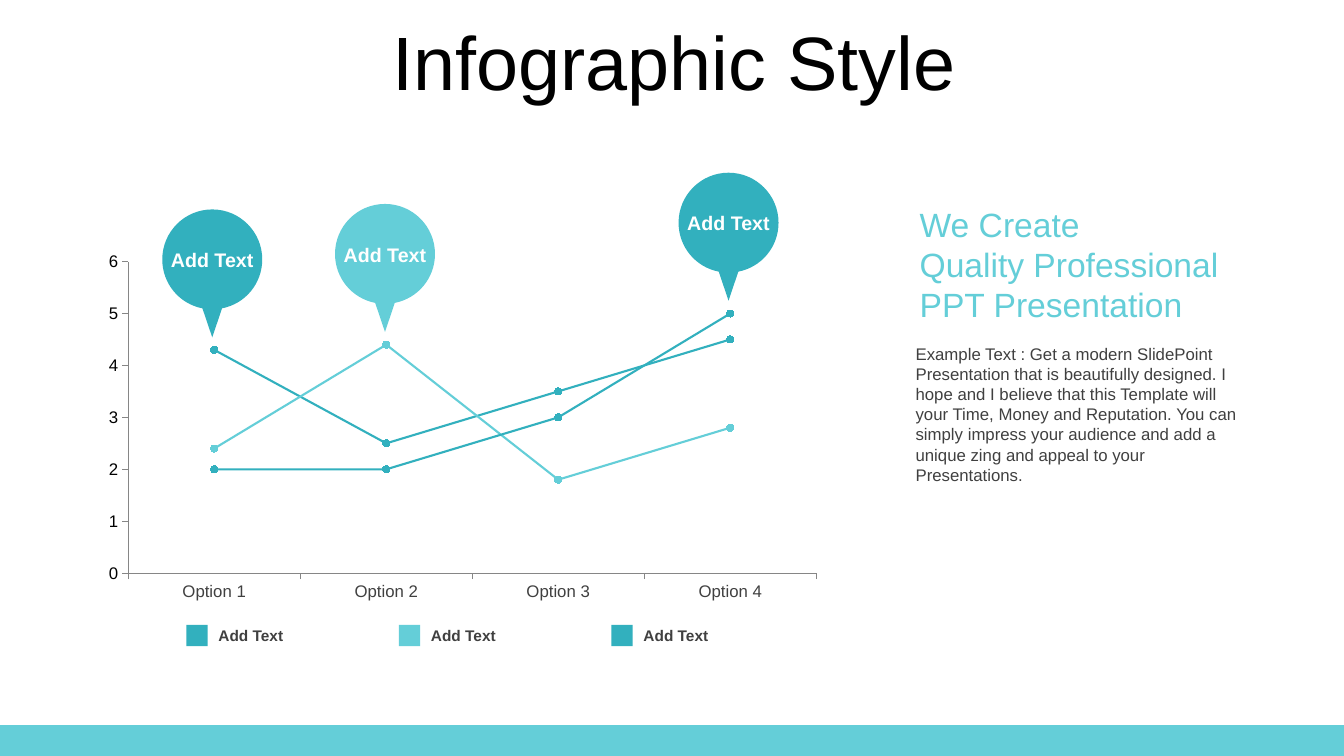
from dataclasses import dataclass

from lxml.etree import SubElement
from pptx import Presentation
from pptx.chart.data import CategoryChartData
from pptx.dml.color import RGBColor
from pptx.enum.chart import XL_CHART_TYPE, XL_MARKER_STYLE, XL_TICK_MARK
from pptx.enum.shapes import MSO_SHAPE
from pptx.enum.text import MSO_ANCHOR, PP_ALIGN
from pptx.oxml.ns import qn
from pptx.util import Pt


@dataclass(frozen=True)
class Theme:
    font: str = "Arial"
    teal: RGBColor = RGBColor(0x32, 0xB0, 0xBE)
    aqua: RGBColor = RGBColor(0x64, 0xCE, 0xD8)
    ink: RGBColor = RGBColor(0x40, 0x40, 0x40)
    black: RGBColor = RGBColor(0, 0, 0)
    white: RGBColor = RGBColor(0xFF, 0xFF, 0xFF)
    axis: RGBColor = RGBColor(0x86, 0x86, 0x86)
    title: int = 54
    heading: int = 24
    pin: int = 14
    body: int = 12
    legend: int = 11


theme = Theme()
presentation = Presentation()
presentation.slide_width, presentation.slide_height = Pt(960), Pt(540)
slide = presentation.slides.add_slide(presentation.slide_layouts[6])
shapes = slide.shapes


def paint(shape, color):
    shape.shadow.inherit = False
    shape.fill.solid()
    shape.fill.fore_color.rgb = color
    shape.line.fill.background()


def write(holder, lines, size, color, bold=False, align=PP_ALIGN.LEFT, inset=0):
    frame = holder.text_frame
    frame.word_wrap = True
    frame.vertical_anchor = MSO_ANCHOR.TOP
    frame.margin_left = frame.margin_right = Pt(inset)
    frame.margin_top = frame.margin_bottom = 0
    frame.text = "\n".join(lines)
    for paragraph in frame.paragraphs:
        paragraph.alignment = align
        paragraph.font.name = theme.font
        paragraph.font.size = Pt(size)
        paragraph.font.bold = bold
        paragraph.font.color.rgb = color
    return frame


footer = shapes.add_shape(MSO_SHAPE.RECTANGLE, 0, Pt(518), Pt(960), Pt(22))
paint(footer, theme.aqua)

title_area = shapes.add_textbox(Pt(25.5), Pt(18.6), Pt(912), Pt(57))
title = write(title_area, ["Infographic Style"], theme.title, theme.black, align=PP_ALIGN.CENTER)
title.vertical_anchor = MSO_ANCHOR.MIDDLE
title.paragraphs[0].line_spacing = 0.9
for defaults in title_area.element.iter(qn("a:defRPr")):
    defaults.set("kern", "1200")

options = CategoryChartData()
options.categories = ["Option 1", "Option 2", "Option 3", "Option 4"]
options.add_series("Series 1", (4.3, 2.5, 3.5, 4.5))
options.add_series("Series 2", (2.4, 4.4, 1.8, 2.8))
options.add_series("Series 3", (2, 2, 3, 5))
chart = shapes.add_chart(
    XL_CHART_TYPE.LINE_MARKERS, Pt(67.3), Pt(175.3), Pt(526.3), Pt(259.2), options
).chart
chart.has_legend = False
chart.has_title = False
chart.font.name = theme.font
chart.font.size = Pt(theme.body)
chart.font.color.rgb = theme.black
series_colors = [theme.teal, theme.aqua, theme.teal]
for series, color in zip(chart.plots[0].series, series_colors):
    series.smooth = False
    series.format.line.color.rgb = color
    series.format.line.width = Pt(1.5)
    series.marker.style = XL_MARKER_STYLE.CIRCLE
    series.marker.size = 5
    series.marker.format.fill.solid()
    series.marker.format.fill.fore_color.rgb = color
    series.marker.format.line.color.rgb = color
for axis, color in ((chart.category_axis, theme.ink), (chart.value_axis, theme.black)):
    axis.has_major_gridlines = False
    axis.major_tick_mark = XL_TICK_MARK.OUTSIDE
    axis.format.line.color.rgb = theme.axis
    axis.format.line.width = Pt(0.75)
    axis.tick_labels.font.size = Pt(theme.body)
    axis.tick_labels.font.color.rgb = color
chart.value_axis.minimum_scale = 0
chart.value_axis.maximum_scale = 6
chart.value_axis.major_unit = 1

right_side = [(19.7, 0), (35.7, 16), (35.7, 35.7), (35.7, 53), (23.6, 67.4), (7, 70.7)]
left_side = [(-x, y) for x, y in reversed(right_side)]
pin_outline = right_side + [(0, 91.4)] + left_side + [(0, 0)]
curve_starts = (0, 3, 8, 11)
units = 100
for center, top, color in ((151.6, 149.6, theme.teal), (520.4, 123.4, theme.teal), (275, 145.7, theme.aqua)):
    builder = shapes.build_freeform(round(center * units), round(top * units), scale=Pt(1) / units)
    builder.add_line_segments(
        [(round((center + x) * units), round((top + y) * units)) for x, y in pin_outline], close=True
    )
    pin = builder.convert_to_shape()
    paint(pin, color)
    segments = list(pin.element.iter(qn("a:lnTo")))
    for start in curve_starts:
        first = segments[start]
        curve = SubElement(first.getparent(), qn("a:cubicBezTo"))
        first.addprevious(curve)
        for segment in segments[start:start + 3]:
            curve.append(segment[0])
            segment.getparent().remove(segment)
    label = shapes.add_shape(MSO_SHAPE.RECTANGLE, Pt(center - 33.5), Pt(top + 27.5), Pt(67), Pt(17))
    paint(label, color)
    write(label, ["Add Text"], theme.pin, theme.white, True, PP_ALIGN.CENTER)

for index, color in enumerate(series_colors):
    left = 133.2 + index * 151.8
    swatch = shapes.add_shape(MSO_SHAPE.RECTANGLE, Pt(left), Pt(446.4), Pt(15.2), Pt(15.2))
    paint(swatch, color)
    legend_entry = shapes.add_textbox(Pt(left + 22.8), Pt(447.2), Pt(79), Pt(13.7))
    write(legend_entry, ["Add Text"], theme.legend, theme.ink, True)

write(
    shapes.add_textbox(Pt(654), Pt(145.5), Pt(240), Pt(87)),
    ["We Create", "Quality Professional", "PPT Presentation"],
    theme.heading, theme.aqua, inset=2.9,
)
write(
    shapes.add_textbox(Pt(654), Pt(245.4), Pt(240), Pt(101.5)),
    ["Example Text : Get a modern SlidePoint Presentation that is beautifully designed. "
     "I hope and I believe that this Template will your Time, Money and Reputation. "
     "You can simply impress your audience and add a unique zing and appeal to your Presentations."],
    theme.body, theme.ink,
)

presentation.save("out.pptx")
